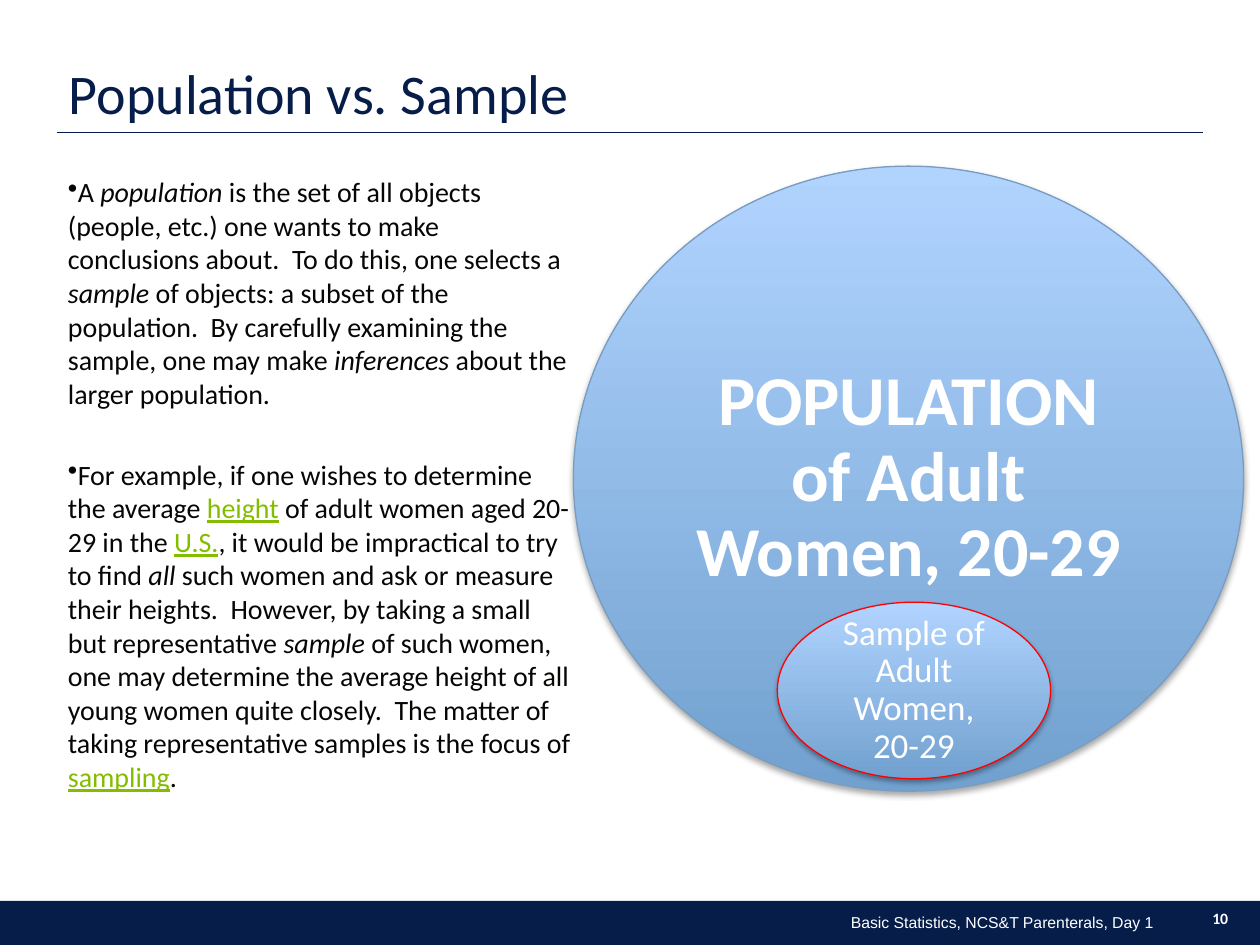
from lxml import etree
from pptx import Presentation
from pptx.dml.color import RGBColor
from pptx.enum.shapes import MSO_CONNECTOR, MSO_SHAPE
from pptx.enum.text import MSO_ANCHOR, PP_ALIGN
from pptx.oxml.ns import qn
from pptx.util import Cm, Pt

RECT, OVAL = MSO_SHAPE.RECTANGLE, MSO_SHAPE.OVAL
STRAIGHT = MSO_CONNECTOR.STRAIGHT
TOP, MIDDLE, BOTTOM = MSO_ANCHOR.TOP, MSO_ANCHOR.MIDDLE, MSO_ANCHOR.BOTTOM
LEFT, CENTER, RIGHT = PP_ALIGN.LEFT, PP_ALIGN.CENTER, PP_ALIGN.RIGHT
NAVY, INK, GREEN, WHITE = "071D49", "070605", "84BD00", "FFFFFF"


def rgb(value):
    return RGBColor.from_string(value)


def add_run(p, text, size, color, font="Calibri", bold=False):
    r = p.add_run()
    r.text = text
    r.font.name = font
    r.font.size = Pt(size)
    r.font.bold = bold
    r.font.color.rgb = rgb(color)
    return r


prs = Presentation()
prs.slide_width, prs.slide_height = Cm(25.4), Cm(19.05)
s = prs.slides.add_slide(prs.slide_layouts[6])

footer = s.shapes.add_shape(RECT, Cm(0), Cm(18.16), Cm(25.4), Cm(0.89))
footer.shadow.inherit = False
footer.fill.solid()
footer.fill.fore_color.rgb = rgb(NAVY)
footer.line.fill.background()

rule = s.shapes.add_connector(STRAIGHT, Cm(1.14), Cm(2.67), Cm(24.26), Cm(2.67))
rule.line.color.rgb = rgb(NAVY)
rule.line.width = Pt(0.75)
etree.SubElement(rule._element.spPr, qn("a:effectLst"))

labels = [
    ("10", 23.57, 18.21, 1.19, 0.66, 9, "Calibri", WHITE, True, RIGHT, MIDDLE, 0),
    ("Population vs. Sample", 1.14, 0.64, 23.11, 2.03, 32, "Calibri", NAVY, False, LEFT, BOTTOM, 0.25),
    ("Basic Statistics, NCS&T Parenterals, Day 1", 8.26, 18.36, 15.24, 0.51, 9, "Arial", WHITE, False, RIGHT, MIDDLE, 0.25),
]
for text, x, y, w, h, size, font, color, bold, align, anchor, inset in labels:
    tf = s.shapes.add_textbox(Cm(x), Cm(y), Cm(w), Cm(h)).text_frame
    tf.word_wrap = True
    tf.vertical_anchor = anchor
    tf.margin_right = Cm(inset)
    p = tf.paragraphs[0]
    p.alignment = align
    p.line_spacing = 0.9
    add_run(p, text, size, color, font, bold)

paragraphs = [
    [
        ("A ", ""),
        ("population", "italic"),
        (" is the set of all objects (people, etc.) one wants to make conclusions about.  To do this, one selects a ", ""),
        ("sample", "italic"),
        (" of objects: a subset of the population.  By carefully examining the sample, one may make ", ""),
        ("inferences", "italic"),
        (" about the larger population.", ""),
    ],
    [
        ("For example, if one wishes to determine the average ", ""),
        ("height", "link"),
        (" of adult women aged 20-29 in the ", ""),
        ("U.S.", "link"),
        (", it would be impractical to try to find ", ""),
        ("all", "italic"),
        (" such women and ask or measure their heights.  However, by taking a small but representative ", ""),
        ("sample", "italic"),
        (" of such women, one may determine the average height of all young women quite closely.  The matter of taking representative samples is the focus of ", ""),
        ("sampling", "link"),
        (".", ""),
    ],
]
tf = s.shapes.add_textbox(Cm(1.12), Cm(3.4), Cm(10.64), Cm(13.84)).text_frame
tf.word_wrap = True
tf.vertical_anchor = TOP
for i, runs in enumerate(paragraphs):
    p = tf.add_paragraph() if i else tf.paragraphs[0]
    pPr = p._p.get_or_add_pPr()
    pPr.set("marL", "0")
    pPr.set("indent", "0")
    etree.SubElement(pPr, qn("a:buChar"), char="•")
    if i:
        p.space_before = Pt(27)
    for text, style in runs:
        r = add_run(p, text, 16, GREEN if style == "link" else INK)
        r.font.italic = style == "italic"
        r.font.underline = style == "link"

ovals = [
    ("POPULATION of Adult Women, 20-29", 11.56, 3.35, 13.51, 12.6, 40, True, "799DC1"),
    ("Sample of Adult Women, 20-29", 15.67, 12.14, 5.51, 3.56, 20, False, "FF0000"),
]
for text, x, y, w, h, size, bold, outline in ovals:
    sp = s.shapes.add_shape(OVAL, Cm(x), Cm(y), Cm(w), Cm(h))
    sp.fill.gradient()
    sp.fill.gradient_angle = 90
    for stop, color in zip(sp.fill.gradient_stops, ("72A1CF", "B1D4FF")):
        stop.color.rgb = rgb(color)
    sp.line.color.rgb = rgb(outline)
    sp.line.width = Pt(0.75)
    sp.shadow.inherit = False
    effects = sp._element.spPr.find(qn("a:effectLst"))
    shadow = etree.SubElement(effects, qn("a:outerShdw"), blurRad=str(Pt(3.1)),
                              dist=str(Pt(1.8)), dir="5400000", rotWithShape="0")
    tint = etree.SubElement(shadow, qn("a:srgbClr"), val="000000")
    etree.SubElement(tint, qn("a:alpha"), val="35000")
    tf = sp.text_frame
    tf.word_wrap = True
    tf.vertical_anchor = MIDDLE
    p = tf.paragraphs[0]
    p.alignment = CENTER
    p.line_spacing = 0.9
    add_run(p, text, size, WHITE, bold=bold)

prs.save("out.pptx")
